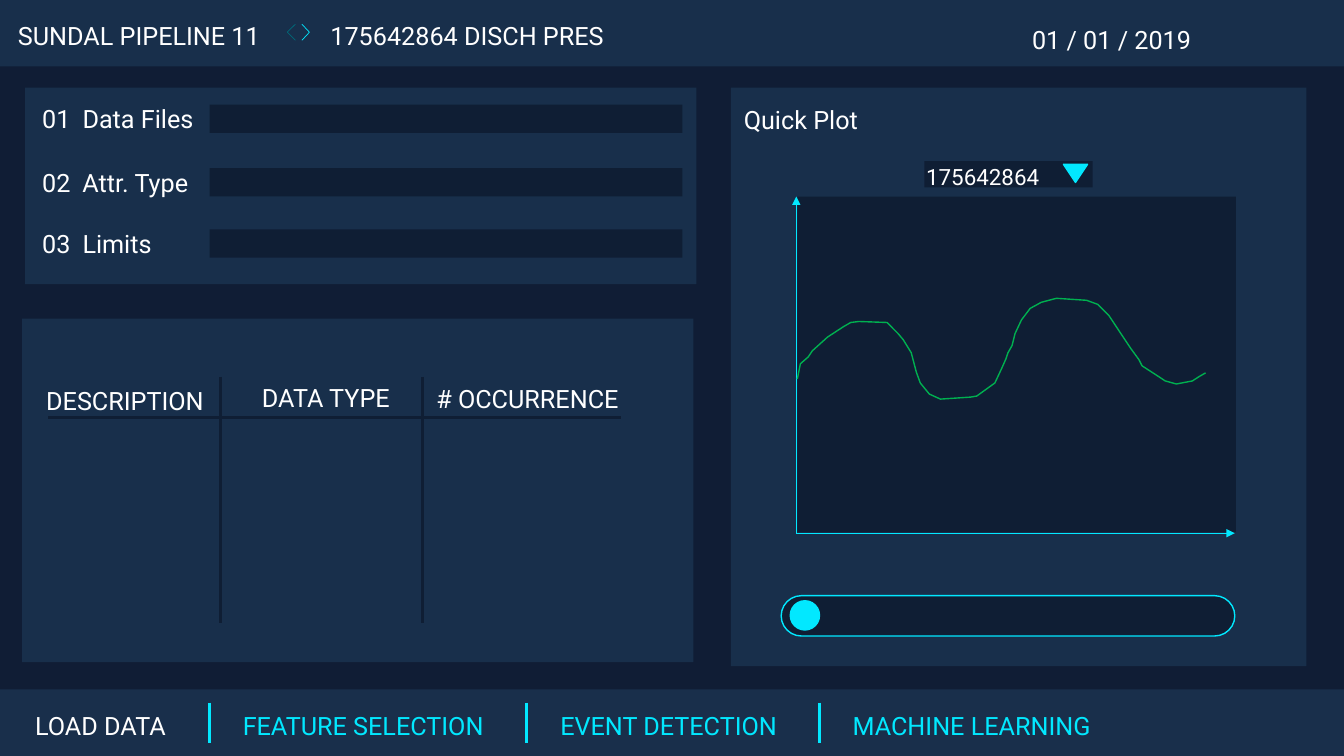
from lxml import etree
from pptx import Presentation
from pptx import util as u
from pptx.dml import color
from pptx.enum import shapes, text
from pptx.oxml import ns

COLS, ROWS = 80, 45
WHITE, CYAN, TEAL, GREEN = "FFFFFF", "02E8FF", "006978", "00B050"
BACK, PANEL, FIELD = "101D35", "182F4B", "0F1E34"


def rgb(code):
    return color.RGBColor.from_string(code)


def write(p, words, size=18, fill=WHITE, tab=None):
    if tab:
        tabs = etree.SubElement(p._p.get_or_add_pPr(), ns.qn("a:tabLst"))
        etree.SubElement(tabs, ns.qn("a:tab"), pos=str(int(tab)), algn="l")
    r = p.add_run()
    r.text = words
    r.font.name = "Roboto"
    r.font.size = u.Pt(size)
    r.font.color.rgb = rgb(fill)


class Board:
    def __init__(self):
        self.prs = Presentation()
        self.prs.slide_width = u.Inches(13.333)
        self.prs.slide_height = u.Inches(7.5)
        self.cell_w = self.prs.slide_width / COLS
        self.cell_h = self.prs.slide_height / ROWS
        self.s = self.prs.slides.add_slide(self.prs.slide_layouts[6])
        self.s.background.fill.solid()
        self.s.background.fill.fore_color.rgb = rgb(BACK)

    def grid(self, *values):
        return [round(v * (self.cell_h if i % 2 else self.cell_w))
                for i, v in enumerate(values)]

    def shape(self, x, y, w, h, fill=PANEL, kind="RECTANGLE", line=None):
        sp = self.s.shapes.add_shape(shapes.MSO_SHAPE[kind], *self.grid(x, y, w, h))
        sp.shadow.inherit = False
        sp.fill.solid()
        sp.fill.fore_color.rgb = rgb(fill)
        if line:
            sp.line.color.rgb = rgb(line)
            sp.line.width = u.Pt(1)
        else:
            sp.line.fill.background()
        return sp

    def label(self, words, x, y, w, h=2.4, tab=None, **style):
        tf = self.s.shapes.add_textbox(*self.grid(x, y, w, h)).text_frame
        tf.word_wrap = False
        tf.auto_size = text.MSO_AUTO_SIZE.SHAPE_TO_FIT_TEXT
        write(tf.paragraphs[0], words, tab=tab and tab * self.cell_w, **style)

    def line(self, x1, y1, x2, y2, fill=CYAN, width=2, arrow=False):
        cx = self.s.shapes.add_connector(
            shapes.MSO_CONNECTOR.STRAIGHT, *self.grid(x1, y1, x2, y2))
        cx.line.color.rgb = rgb(fill)
        cx.line.width = u.Pt(width)
        if arrow:
            etree.SubElement(cx.line._get_or_add_ln(), ns.qn("a:tailEnd"), type="triangle")
        etree.SubElement(cx._element.spPr, ns.qn("a:effectLst"))

    def curve(self, points, fill):
        start, *rest = [self.grid(*point) for point in points]
        fb = self.s.shapes.build_freeform(*start)
        fb.add_line_segments(rest, close=False)
        sp = fb.convert_to_shape()
        sp.shadow.inherit = False
        sp.fill.background()
        sp.line.color.rgb = rgb(fill)
        sp.line.width = u.Pt(1)


TABS = [("LOAD DATA", 1.5, 9.72, WHITE), ("FEATURE SELECTION", 13.86, 16.26, CYAN),
        ("EVENT DETECTION", 32.76, 14.88, CYAN), ("MACHINE LEARNING", 50.16, 16.08, CYAN)]
INPUTS = [("01\tData Files", 5.88, 10.5), ("02\tAttr. Type", 9.66, 10.14),
          ("03\tLimits", 13.3, 7.74)]
HEADINGS = [("DESCRIPTION", 2.16, 22.62, 11.04), ("DATA TYPE", 15, 22.44, 9),
            ("# OCCURRENCE", 25.38, 22.5, 12.84)]
PRESSURE = [
    (47.46, 22.56), (47.64, 21.66), (48.12, 21.24), (48.36, 20.88), (49.26, 20.07),
    (50.22, 19.44), (50.64, 19.2), (51.12, 19.14), (52.8, 19.2), (53.46, 19.86),
    (53.76, 20.22), (54.24, 21), (54.54, 22.14), (54.78, 22.8), (55.32, 23.46),
    (55.98, 23.76), (57.78, 23.64), (58.14, 23.58), (59.22, 22.8), (59.64, 21.9),
    (59.88, 21.36), (60, 21), (60.24, 20.58), (60.42, 19.86), (60.8, 19.05),
    (61.32, 18.36), (61.98, 18), (62.88, 17.76), (64.68, 17.88), (65.34, 18.12),
    (66, 18.78), (67.32, 20.76), (67.8, 21.42), (67.98, 21.78), (69, 22.44),
    (69.36, 22.68), (70.02, 22.86), (70.98, 22.68), (71.34, 22.44), (71.76, 22.2)]


def main():
    b = Board()
    b.shape(0, 0, COLS, 3.96)
    b.shape(0, 41.04, COLS, 3.96, "192F4B")
    for words, x, w, fill in TABS:
        b.label(words, x, 42, w, fill=fill)
    for x in (12.48, 31.32, 48.78):
        b.line(x, 41.82, x, 44.22)

    b.label("SUNDAL PIPELINE 11", 0.48, 0.9, 16.38)
    for tip, back, fill in ((18.42, 17.97, CYAN), (17.1, 17.58, TEAL)):
        for y in (1.44, 2.4):
            b.line(tip, 1.92, back, y, fill, 0.5)
    b.label("175642864 DISCH PRES", 19.08, 0.9, 18)
    b.label("01 / 01 / 2019", 60.84, 1.14, 10.92)

    b.shape(1.5, 5.22, 39.96, 11.7)
    for words, y, w in INPUTS:
        b.label(words, 1.92, y, w, tab=2.4)
        b.shape(12.48, y + 0.35, 28.14, 1.68, FIELD)

    b.shape(43.5, 5.22, 34.26, 34.44)
    b.label("Quick Plot", 43.68, 5.94, 8.34)
    slider = b.shape(46.5, 35.46, 27, 2.4, FIELD, "ROUNDED_RECTANGLE", CYAN)
    slider.adjustments[0] = 0.5
    b.shape(47.04, 35.76, 1.74, 1.74, CYAN, "OVAL", CYAN)
    b.shape(47.46, 11.7, 26.1, 19.98, FIELD)
    for x, y in ((47.4, 11.7), (73.5, 31.74)):
        b.line(47.4, 31.74, x, y, width=0.5, arrow=True)
    b.curve(PRESSURE, GREEN)

    b.shape(1.32, 18.96, 39.96, 20.46)
    for words, x, y, w in HEADINGS:
        b.label(words, x, y, w)
    for x in (13.14, 25.14):
        b.line(x, 22.44, x, 37.08, FIELD)
    b.line(2.88, 24.84, 36.96, 24.84, FIELD)

    b.shape(55.02, 9.6, 10.02, 1.56, FIELD)
    b.shape(63.3, 9.78, 1.44, 1.08, CYAN, "ISOSCELES_TRIANGLE", CYAN).rotation = 180
    b.label("175642864", 54.54, 9.42, 8.22, 2.22, size=16)
    b.prs.save("out.pptx")


if __name__ == "__main__":
    main()
